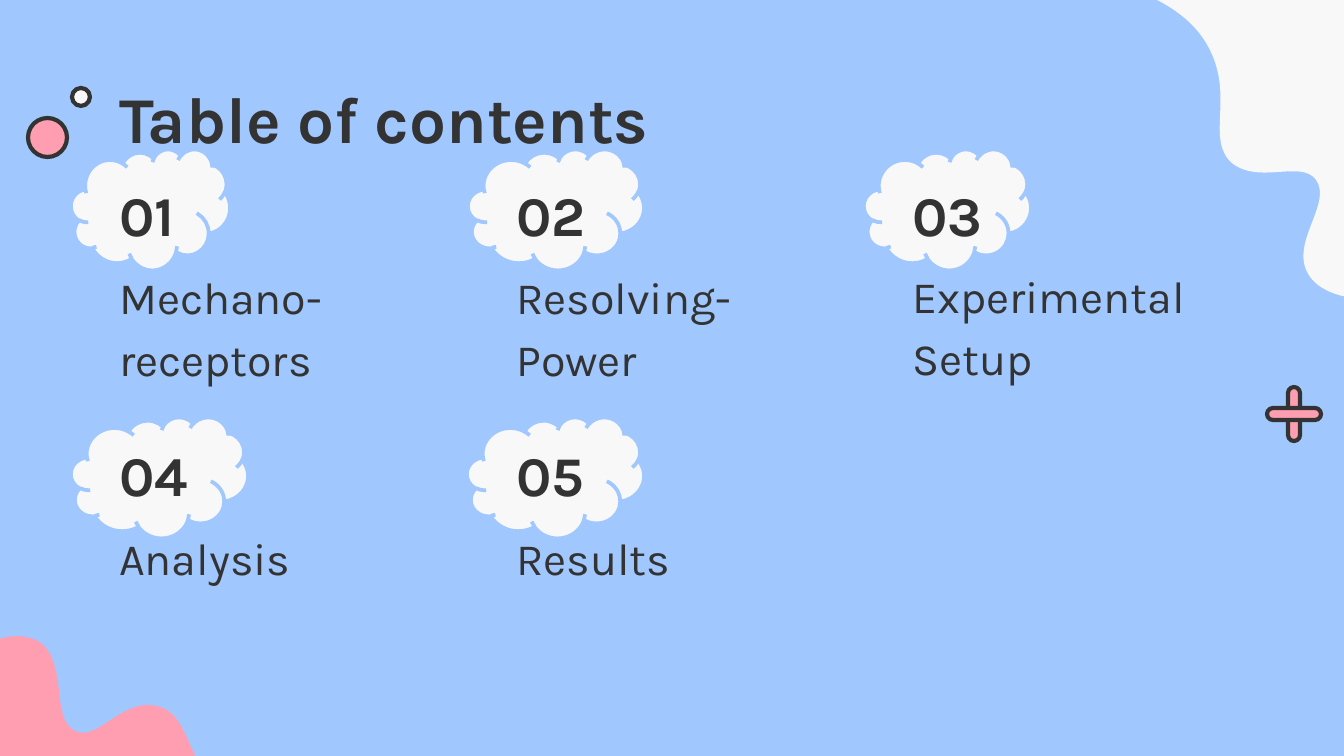
"""Build a table of contents slide with numbered clouds."""
from lxml import etree
from pptx import Presentation
from pptx.dml.color import RGBColor
from pptx.enum.shapes import MSO_SHAPE
from pptx.enum.text import MSO_ANCHOR, MSO_AUTO_SIZE, PP_ALIGN
from pptx.oxml.ns import qn
from pptx.util import Emu, Inches, Pt

CLOUD, OVAL, ROUND = MSO_SHAPE.CLOUD, MSO_SHAPE.OVAL, MSO_SHAPE.ROUNDED_RECTANGLE
TOP, MIDDLE = MSO_ANCHOR.TOP, MSO_ANCHOR.MIDDLE
LEFT, NO_FIT = PP_ALIGN.LEFT, MSO_AUTO_SIZE.NONE
PX = 914400 / 134.4
FONT = "Karla"
SKY, PINK, WHITE, INK = "A0C8FF", "FF9EB1", "F8F8F8", "333333"

TITLE = "Table of contents"
SECTIONS = [
    {"number": "01", "name": "Mechano-\nreceptors", "name_top": 248, "cloud": (71, 159)},
    {"number": "02", "name": "Resolving-\nPower", "name_top": 248, "cloud": (468, 176)},
    {"number": "03", "name": "Experimental\nSetup", "name_top": 247, "cloud": (864, 167)},
    {"number": "04", "name": "Analysis", "name_top": 509, "cloud": (71, 177)},
    {"number": "05", "name": "Results", "name_top": 509, "cloud": (467, 177)},
]
COLUMNS = (106, 503, 899)
ROWS = [{"cloud": 149, "number": 181}, {"cloud": 417, "number": 441}]
BLOBS = [
    (PINK, 0, (-15, 645), [
        (-1, 637), (20, 632), (38, 641), (69, 660), (50, 719), (75, 731),
        (98, 742), (122, 698), (156, 706), (191, 712), (185, 765), (227, 797),
        (284, 840), (364, 796), (371, 810), (379, 832), (233, 958), (85, 919),
        (67, 915), (-3, 896), (-38, 832), (-73, 767), (-62, 670), (-15, 645)]),
    (WHITE, 339.6, (1286, 305), [
        (1271, 299), (1252, 284), (1249, 266), (1242, 230), (1297, 208), (1289, 180),
        (1282, 156), (1234, 165), (1216, 135), (1200, 104), (1240, 75), (1235, 23),
        (1229, -48), (1143, -84), (1151, -97), (1163, -116), (1349, -82), (1419, 57),
        (1427, 74), (1460, 139), (1437, 206), (1413, 273), (1336, 326), (1286, 305)]),
]
ORNAMENTS = [
    (ROUND, (1288, 387, 12, 54), PINK),
    (ROUND, (1267, 408, 54, 12), PINK),
    (OVAL, (72, 88, 18, 18), WHITE),
    (OVAL, (28, 118, 39, 39), PINK),
]


def px(value):
    return Emu(round(value * PX))


def color(value):
    return RGBColor.from_string(value)


def bend(blob):
    lines = list(blob.element.iter(qn("a:lnTo")))
    for first in range(0, len(lines), 3):
        curve = etree.Element(qn("a:cubicBezTo"))
        lines[first].addprevious(curve)
        for line in lines[first:first + 3]:
            curve.append(line[0])
            line.getparent().remove(line)


def add_blob(page, fill, angle, start, points):
    builder = page.shapes.build_freeform(*map(px, start), scale=1.0)
    builder.add_line_segments([tuple(map(px, point)) for point in points], close=True)
    blob = builder.convert_to_shape()
    bend(blob)
    blob.rotation = angle
    blob.shadow.inherit = False
    blob.fill.solid()
    blob.fill.fore_color.rgb = color(fill)
    blob.line.fill.background()


def add_figure(page, kind, place, fill, line, weight):
    figure = page.shapes.add_shape(kind, *map(px, place))
    if kind == ROUND:
        figure.adjustments[0] = 0.5
    figure.shadow.inherit = False
    figure.fill.solid()
    figure.fill.fore_color.rgb = color(fill)
    figure.line.color.rgb = color(line)
    figure.line.width = Pt(weight)


def write(box, text, size, bold, anchor=TOP, top=0.1, spacing=1.0):
    frame = box.text_frame
    frame.text = text
    frame.word_wrap = True
    frame.auto_size = NO_FIT
    frame.vertical_anchor = anchor
    frame.margin_left = frame.margin_right = frame.margin_bottom = Inches(0.1)
    frame.margin_top = Inches(top)
    for para in frame.paragraphs:
        para.alignment = LEFT
        para.line_spacing = spacing
        for span in para.runs:
            span.font.name = FONT
            span.font.size = Pt(size)
            span.font.bold = bold
            span.font.color.rgb = color(INK)


def add_text(page, place, *args, **options):
    write(page.shapes.add_textbox(*map(px, place)), *args, **options)


def main():
    deck = Presentation()
    deck.slide_width, deck.slide_height = px(1344), px(756)
    page = deck.slides.add_slide(deck.slide_layouts[5])
    page.background.fill.solid()
    page.background.fill.fore_color.rgb = color(SKY)

    title = page.shapes.title
    title.left, title.top, title.width, title.height = map(px, (106, 78, 1098, 71))
    write(title, TITLE, 35, True, top=0)

    for blob in BLOBS:
        add_blob(page, *blob)
    for kind, place, fill in ORNAMENTS:
        add_figure(page, kind, place, fill, INK, 2.25)

    for index, section in enumerate(SECTIONS):
        row, column = divmod(index, len(COLUMNS))
        left, tops = COLUMNS[column], ROWS[row]
        cloud_left, cloud_width = section["cloud"]
        add_figure(page, CLOUD, (cloud_left, tops["cloud"], cloud_width, 121), WHITE, SKY, 2)
        add_text(page, (left, tops["number"], 108, 66), section["number"], 30, True,
                 anchor=MIDDLE)
        add_text(page, (left, section["name_top"], 339, 66), section["name"], 24, False,
                 spacing=1.15)

    deck.save("out.pptx")


if __name__ == "__main__":
    main()
